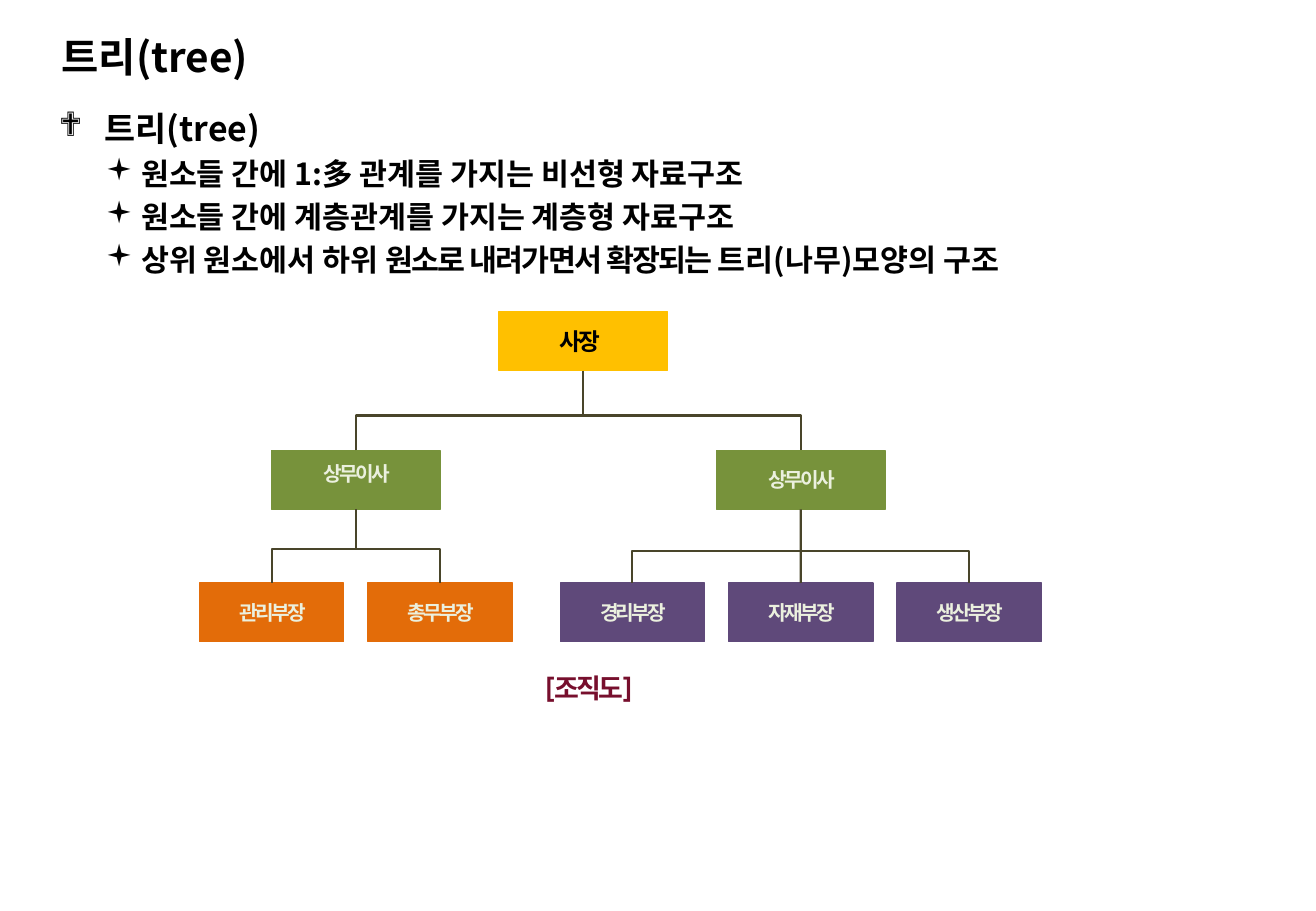
from dataclasses import dataclass
from typing import Optional

import pptx
import pptx.dml.color
import pptx.enum.shapes
import pptx.enum.text
import pptx.oxml.ns
import pptx.shapes.autoshape
import pptx.slide
import pptx.text.text
import pptx.util
from lxml import etree

Cm = pptx.util.Cm
Pt = pptx.util.Pt
qn = pptx.oxml.ns.qn
ALIGN = pptx.enum.text.PP_ALIGN
ANCHOR = pptx.enum.text.MSO_ANCHOR
Box = pptx.shapes.autoshape.Shape


@dataclass(frozen=True)
class Theme:
    korean: str = "Noto Sans CJK KR"
    latin: str = "Karla"
    symbol: str = "Wingdings"
    ink: str = "000000"
    pale: str = "EBF0DE"
    president: str = "FFC000"
    director: str = "77923B"
    left_manager: str = "E36C09"
    right_manager: str = "5F497A"
    branch: str = "49452A"
    caption: str = "770F2D"
    title_size: float = 24
    topic_size: float = 20
    point_size: float = 18
    caption_size: float = 16
    president_size: float = 14
    staff_size: float = 12
    outline: float = 0.75
    branch_width: float = 1.25


@dataclass(frozen=True)
class Span:
    text: str
    spacing: float = 0
    font: Optional[str] = None


@dataclass(frozen=True)
class Bullet:
    mark: str
    margin: float
    hanging: float


@dataclass(frozen=True)
class Post:
    title: str
    center: float
    top: float
    width: float
    fill: str
    ink: str = Theme.pale
    size: float = Theme.staff_size
    lift: float = 0
    shift: float = 0.02


@dataclass(frozen=True)
class Team:
    titles: tuple[str, ...]
    first_center: float
    bar: float
    fill: str
    director_lift: float = 0


THEME = Theme()
POST_HEIGHT = 1.23
WIDE, NARROW = 3.52, 3.02
MANAGER_PITCH = 3.52
PRESIDENT_TOP, DIRECTOR_TOP, MANAGER_TOP = 6.52, 9.42, 12.19
TOP_BAR = 8.69
TIGHT = -1.6

TOPIC = Bullet("❖", 0.96, 0.96)
POINT = Bullet("▪", 1.72, 0.74)
OUTLINE = (
    (TOPIC, THEME.topic_size, (Span("트리(tree)"),)),
    (POINT, THEME.point_size, (Span("원소들 간에 1:多 관계를 가지는 비선형 자료구조"),)),
    (POINT, THEME.point_size, (Span("원소들 간에 계층관계를 가지는 계층형 자료구조"),)),
    (POINT, THEME.point_size, (
        Span("상위 원소에서 하위 "),
        Span("원소로 내려가면서 확장되는 ", -1),
        Span("트리(나무)모양의 구조"),
    )),
)
CAPTION = (
    Span("[", TIGHT, THEME.latin),
    Span("조직도", -1.5),
    Span("]", -0.1, THEME.latin),
)
TEAMS = (
    Team(("관리부장", "총무부장"), 5.68, 11.48, THEME.left_manager, 0.14),
    Team(("경리부장", "자재부장", "생산부장"), 13.22, 11.53, THEME.right_manager),
)


def rgb(value: str) -> pptx.dml.color.RGBColor:
    return pptx.dml.color.RGBColor.from_string(value)


def write(paragraph: pptx.text.text._Paragraph, spans: tuple[Span, ...],
          size: float, ink: str, bullet: Optional[Bullet] = None) -> None:
    properties = paragraph._p.get_or_add_pPr()
    if bullet:
        properties.set("marL", str(Cm(bullet.margin)))
        properties.set("indent", str(-Cm(bullet.hanging)))
        etree.SubElement(properties, qn("a:buFont")).set("typeface", THEME.symbol)
        etree.SubElement(properties, qn("a:buChar")).set("char", bullet.mark)
    font = paragraph.font
    font.size = Pt(size)
    font.bold = True
    font.color.rgb = rgb(ink)
    font.name = THEME.korean
    defaults = properties.find(qn("a:defRPr"))
    etree.SubElement(defaults, qn("a:ea")).set("typeface", THEME.korean)
    for span in spans:
        run = paragraph.add_run()
        run.text = span.text
        if span.font:
            run.font.name = span.font
        style = run._r.get_or_add_rPr()
        style.set("kern", "0")
        style.set("spc", str(round(span.spacing * 100)))


def add_text(slide: pptx.slide.Slide, left: float, top: float,
             width: float, height: float) -> pptx.text.text.TextFrame:
    frame = slide.shapes.add_textbox(Cm(left), Cm(top), Cm(width), Cm(height)).text_frame
    frame.word_wrap = True
    return frame


def set_insets(frame: pptx.text.text.TextFrame, shift: float = 0, lift: float = 0) -> None:
    frame.margin_left = Cm(max(shift, 0) * 2)
    frame.margin_right = Cm(max(-shift, 0) * 2)
    frame.margin_top = 0
    frame.margin_bottom = Cm(lift * 2)


def add_post(slide: pptx.slide.Slide, post: Post) -> Box:
    box = slide.shapes.add_shape(
        pptx.enum.shapes.MSO_SHAPE.RECTANGLE, Cm(post.center - post.width / 2),
        Cm(post.top), Cm(post.width), Cm(POST_HEIGHT))
    box.shadow.inherit = False
    box.fill.solid()
    box.fill.fore_color.rgb = rgb(post.fill)
    box.line.color.rgb = rgb(post.fill)
    box.line.width = Pt(THEME.outline)
    frame = box.text_frame
    set_insets(frame, post.shift, post.lift)
    frame.vertical_anchor = ANCHOR.MIDDLE
    frame.paragraphs[0].alignment = ALIGN.CENTER
    write(frame.paragraphs[0], (Span(post.title, TIGHT),), post.size, post.ink)
    return box


def add_branches(slide: pptx.slide.Slide, parent: Box, children: list[Box],
                 bar: float) -> None:
    level = Cm(bar)
    centers = [child.left + child.width // 2 for child in children]
    foot = children[0].top
    builder = slide.shapes.build_freeform(centers[0], foot)
    builder.add_line_segments(
        [(centers[0], level), (centers[-1], level), (centers[-1], foot)], close=False)
    bracket = builder.convert_to_shape()
    bracket.shadow.inherit = False
    bracket.fill.background()

    middle = parent.left + parent.width // 2
    stem = slide.shapes.add_connector(
        pptx.enum.shapes.MSO_CONNECTOR.STRAIGHT,
        middle, parent.top + parent.height, middle, level)
    stem.begin_connect(parent, 2)
    if len(children) % 2:
        stem.end_connect(children[len(children) // 2], 0)
    etree.SubElement(stem._element.spPr, qn("a:effectLst"))
    for branch in (bracket, stem):
        branch.line.color.rgb = rgb(THEME.branch)
        branch.line.width = Pt(THEME.branch_width)


def add_team(slide: pptx.slide.Slide, team: Team) -> Box:
    centers = [team.first_center + i * MANAGER_PITCH for i in range(len(team.titles))]
    director = add_post(slide, Post(
        "상무이사", sum(centers) / len(centers), DIRECTOR_TOP, WIDE,
        THEME.director, lift=team.director_lift))
    managers = [add_post(slide, Post(title, center, MANAGER_TOP, NARROW, team.fill))
                for title, center in zip(team.titles, centers)]
    add_branches(slide, director, managers, team.bar)
    return director


def main() -> None:
    deck = pptx.Presentation()
    deck.slide_width, deck.slide_height = Cm(27.51), Cm(19.05)
    slide = deck.slides.add_slide(deck.slide_layouts[6])

    heading = add_text(slide, 1.04, 0.5, 15.9, 1.37)
    heading.vertical_anchor = ANCHOR.MIDDLE
    write(heading.paragraphs[0], (Span("트리(tree)"),), THEME.title_size, THEME.ink)

    outline = add_text(slide, 0.98, 2.13, 25.58, 4.2)
    for index, (bullet, size, spans) in enumerate(OUTLINE):
        paragraph = outline.add_paragraph() if index else outline.paragraphs[0]
        if index:
            paragraph.space_before = Pt(4)
        write(paragraph, spans, size, THEME.ink, bullet)

    president = add_post(slide, Post(
        "사장", 12.19, PRESIDENT_TOP, WIDE, THEME.president,
        THEME.ink, THEME.president_size, shift=-0.06))
    directors = [add_team(slide, team) for team in TEAMS]
    add_branches(slide, president, directors, TOP_BAR)

    caption = add_text(slide, 11, 14.05, 2.62, 1.09)
    set_insets(caption)
    caption.paragraphs[0].alignment = ALIGN.CENTER
    write(caption.paragraphs[0], CAPTION, THEME.caption_size, THEME.caption)

    deck.save("out.pptx")


if __name__ == "__main__":
    main()
